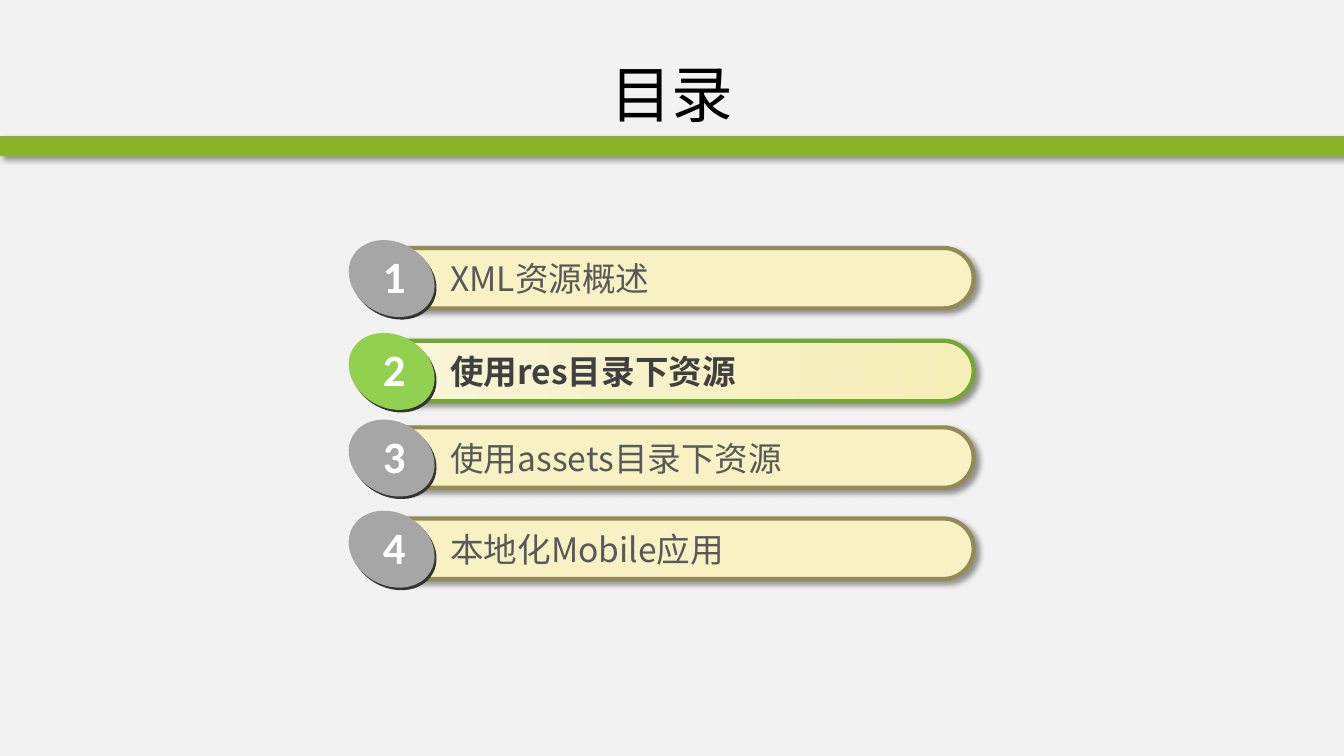
from dataclasses import dataclass

from lxml import etree
from pptx import Presentation
from pptx.dml.color import RGBColor
from pptx.enum import shapes, text
from pptx.oxml import ns
from pptx.util import Pt


@dataclass(frozen=True)
class Theme:
    # Fonts and type sizes
    body_font: str = "Noto Sans CJK SC"
    number_font: str = "Calibri"
    title_size: int = 44
    topic_size: int = 24
    number_size: int = 32
    # Colours
    background: str = "F2F2F2"
    band: str = "88B429"
    black: str = "000000"
    white: str = "FFFFFF"
    badge_base: str = "333333"
    # Topic states: bar fill, bar outline, badge, text
    idle: tuple = (("F7F1C4",), "948A54", "A6A6A6", "595959")
    current: tuple = (("F9F5D9", "F5EEB7"), "74A731", "92D050", "404040")


class AgendaSlide:
    def __init__(self, slide, theme):
        self.slide = slide
        self.theme = theme
        slide.background.fill.solid()
        slide.background.fill.fore_color.rgb = RGBColor.from_string(theme.background)

    def shape(self, parent, kind, box, colours, outline=None, shadow=False):
        item = parent.add_shape(kind, *map(Pt, box))
        item.shadow.inherit = False
        # One colour is solid, two make a left-to-right gradient
        if len(colours) == 1:
            item.fill.solid()
            item.fill.fore_color.rgb = RGBColor.from_string(colours[0])
        else:
            item.fill.gradient()
            item.fill.gradient_angle = 0
            for position, (stop, colour) in enumerate(zip(item.fill.gradient_stops, colours)):
                stop.position = position
                stop.color.rgb = RGBColor.from_string(colour)
        if outline:
            item.line.color.rgb = RGBColor.from_string(outline)
            item.line.width = Pt(3)
        else:
            item.line.fill.background()
        if shadow:
            self.drop_shadow(item)
        return item

    def drop_shadow(self, item):
        effects = item._element.spPr.find(ns.qn("a:effectLst"))
        outer = etree.SubElement(
            effects, ns.qn("a:outerShdw"), blurRad=str(Pt(4)), dist=str(Pt(3)),
            dir=str(45 * 60000), algn="tl", rotWithShape="0")
        colour = etree.SubElement(outer, ns.qn("a:srgbClr"), val=self.theme.black)
        etree.SubElement(colour, ns.qn("a:alpha"), val="40000")

    def label(self, parent, box, words, font, size, colour, bold=False, wrap=True):
        item = parent.add_textbox(*map(Pt, box))
        frame = item.text_frame
        frame.text = words
        frame.word_wrap = wrap
        frame.auto_size = text.MSO_AUTO_SIZE.SHAPE_TO_FIT_TEXT
        run = frame.paragraphs[0].runs[0]
        run.font.name = font
        run.font.size = Pt(size)
        run.font.bold = bold
        run.font.color.rgb = RGBColor.from_string(colour)
        # East Asian characters take the same typeface
        etree.SubElement(run.font._element, ns.qn("a:ea"), typeface=font)
        return frame

    def band(self):
        self.shape(self.slide.shapes, shapes.MSO_SHAPE.RECTANGLE,
                   (0, 97.2, 960, 14.4), (self.theme.band,), shadow=True)

    def title(self, words):
        frame = self.label(self.slide.shapes, (48, 21.6, 864, 90), words,
                           self.theme.body_font, self.theme.title_size, self.theme.black)
        frame.auto_size = text.MSO_AUTO_SIZE.NONE
        frame.vertical_anchor = text.MSO_ANCHOR.MIDDLE
        frame.paragraphs[0].alignment = text.PP_ALIGN.CENTER

    def topic(self, number, words, top, is_current):
        theme = self.theme
        bar_fill, outline, badge_fill, ink = theme.current if is_current else theme.idle
        parts = self.slide.shapes.add_group_shape().shapes

        # Rounded bar and its topic
        bar = self.shape(parts, shapes.MSO_SHAPE.ROUNDED_RECTANGLE,
                         (263.5, top, 432, 43.2), bar_fill, outline, shadow=True)
        bar.adjustments[0] = 0.5
        self.label(parts, (314.6, top + 3.8, 330.5, 36.4), words,
                   theme.body_font, theme.topic_size, ink, bold=is_current)

        # Tilted badge over its dark base, with the number
        for left, rise, fill in ((249.1, 2.2, theme.badge_base), (247.7, 4, badge_fill)):
            disc = self.shape(parts, shapes.MSO_SHAPE.OVAL,
                              (left, top - rise, 64.1, 51.8), (fill,))
            disc.rotation = 29.3
        self.label(parts, (266.4, top - 2.7, 31, 46), str(number),
                   theme.number_font, theme.number_size, theme.white, bold=True, wrap=False)


def main():
    deck = Presentation()
    deck.slide_width, deck.slide_height = Pt(960), Pt(540)
    agenda = AgendaSlide(deck.slides.add_slide(deck.slide_layouts[6]), Theme())

    # Heading
    agenda.band()
    agenda.title("目录")

    # Topics with their tops
    topics = (
        ("XML资源概述", 177.1),
        ("使用res目录下资源", 243.4),
        ("使用assets目录下资源", 305.3),
        ("本地化Mobile应用", 370.4),
    )
    current_number = 2
    for number, (words, top) in enumerate(topics, 1):
        agenda.topic(number, words, top, number == current_number)

    deck.save("out.pptx")


if __name__ == "__main__":
    main()
